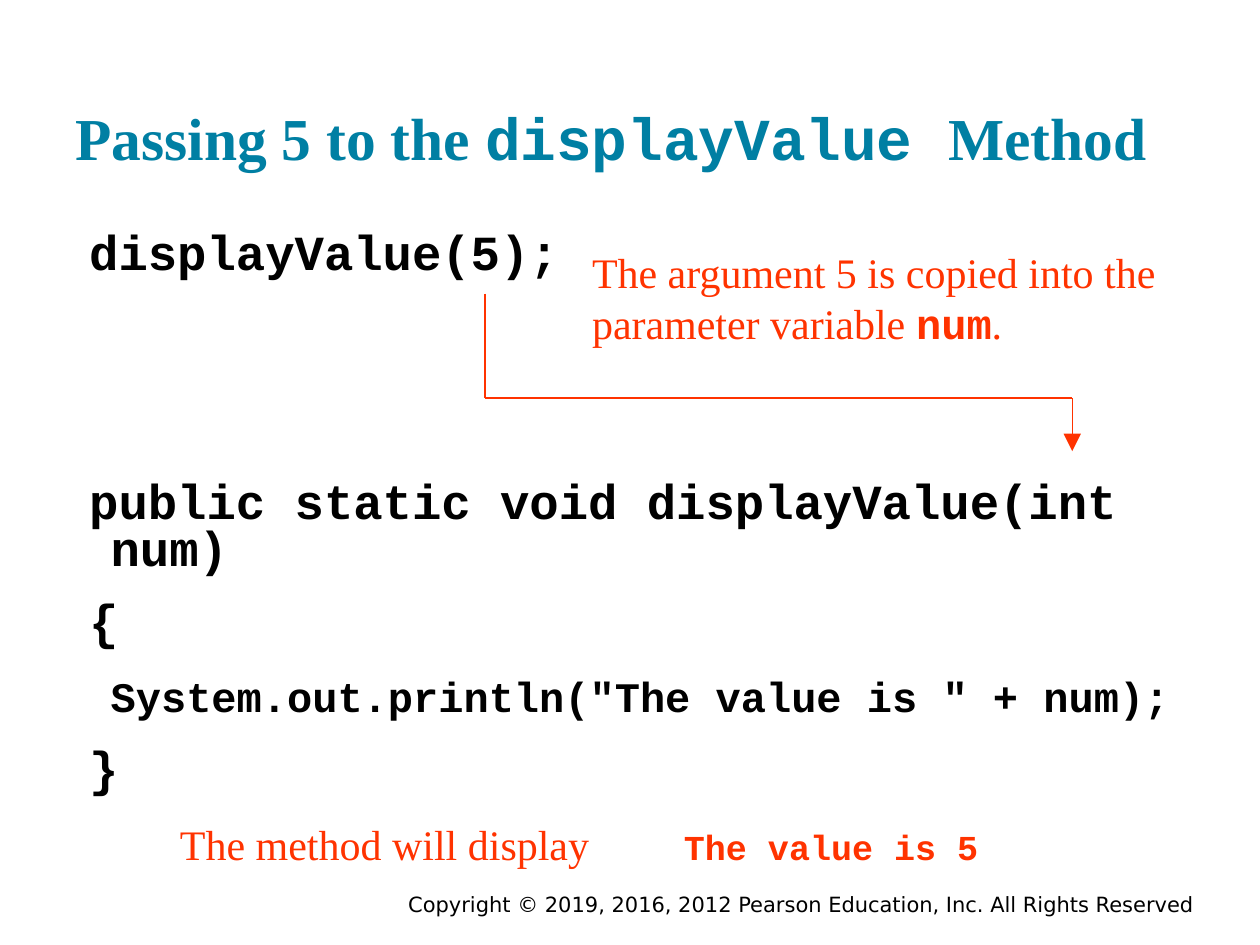
from itertools import pairwise

from lxml.etree import SubElement
from pptx import Presentation
from pptx.dml.color import RGBColor
from pptx.enum.shapes import MSO_CONNECTOR
from pptx.enum.text import MSO_ANCHOR, MSO_AUTO_SIZE, PP_ALIGN
from pptx.oxml.ns import qn
from pptx.util import Emu, Pt

SERIF, MONO, SANS = "Times New Roman", "Courier New", "DejaVu Sans"
TEAL, RED, BLACK = "007FA3", "FF3300", "000000"


def px(length):
    """Convert px, at 100 to the inch, to EMU."""
    return Emu(length * 9144)


def color(value):
    """Turn a hex string into a colour."""
    return RGBColor.from_string(value)


def add_span(para, text, size, face, ink, bold=False):
    """Add one formatted run to a paragraph."""
    span = para.add_run()
    span.text = text
    span.font.size = Pt(size)
    span.font.name = face
    span.font.bold = bold
    span.font.color.rgb = color(ink)


def set_frame(frame, side, top):
    """Give a text frame wrapping, fixed size and insets."""
    frame.word_wrap = True
    frame.auto_size = MSO_AUTO_SIZE.NONE
    frame.margin_left = frame.margin_right = px(side)
    frame.margin_top = frame.margin_bottom = px(top)


def add_text_box(page, box, top=5):
    """Add an empty text box and return its frame."""
    frame = page.shapes.add_textbox(*map(px, box)).text_frame
    set_frame(frame, 10, top)
    return frame


def set_title(page, box):
    """Place the title and write its mixed-font wording."""
    title = page.shapes.title
    title.left, title.top, title.width, title.height = map(px, box)
    frame = title.text_frame
    set_frame(frame, 10, 10)
    frame.vertical_anchor = MSO_ANCHOR.BOTTOM
    para = frame.paragraphs[0]
    para.alignment = PP_ALIGN.LEFT
    for text, face in (("Passing 5 to the ", SERIF), ("displayValue ", MONO), ("Method", SERIF)):
        add_span(para, text, 34, face, TEAL, True)


def add_code(page, box):
    """Write the call and, below a gap, the method."""
    frame = add_text_box(page, box, 10)
    lines = (
        (0, [("displayValue(5);", 28)]),
        (115, [("public static void displayValue(int num)", 28)]),
        (15, [("{", 28)]),
        (15, [("\t", 28), ('System.out.println("The value is " + num);', 24)]),
        (15, [("}", 28)]),
    )
    for number, (gap, spans) in enumerate(lines):
        para = frame.add_paragraph() if number else frame.paragraphs[0]
        para.line_spacing = 0.8
        para.space_before = Pt(gap)
        properties = para._p.get_or_add_pPr()
        properties.set("marL", str(px(28)))
        properties.set("indent", str(px(-17)))
        for text, size in spans:
            add_span(para, text, size, MONO, BLACK, True)


def add_argument_note(page, box):
    """Write the note on the copied argument."""
    para = add_text_box(page, box).paragraphs[0]
    add_span(para, "The argument 5 is copied into the parameter variable ", 24, SERIF, RED)
    add_span(para, "num", 24, MONO, RED, True)
    add_span(para, ".", 24, SERIF, RED)


def add_arrow_path(page, origin, steps):
    """Draw straight segments from an origin, with a final arrowhead."""
    left, top = origin
    points = [(px(left + across), px(top + down)) for across, down in steps]
    for start, end in pairwise(points):
        segment = page.shapes.add_connector(MSO_CONNECTOR.STRAIGHT, *start, *end)
        segment.line.color.rgb = color(RED)
        segment.line.width = Pt(0.75)
        SubElement(segment._element.spPr, qn("a:effectLst"))
    SubElement(segment.line._get_or_add_ln(), qn("a:tailEnd"), type="triangle", w="lg", len="lg")


def add_output_note(page, box):
    """Write the displayed result, aligned at a tab stop."""
    para = add_text_box(page, box).paragraphs[0]
    stops = SubElement(para._p.get_or_add_pPr(), qn("a:tabLst"))
    SubElement(stops, qn("a:tab"), pos=str(px(400)), algn="l")
    add_span(para, "The method will display\t", 24, SERIF, RED)
    add_span(para, "The value is 5", 20, MONO, RED, True)


def add_copyright(page, box):
    """Write the right-aligned copyright line."""
    para = add_text_box(page, box).paragraphs[0]
    para.alignment = PP_ALIGN.RIGHT
    text = "Copyright © 2019, 2016, 2012 Pearson Education, Inc. All Rights Reserved"
    add_span(para, text, 12, SANS, BLACK)


def main():
    """Build and save the deck."""
    deck = Presentation()
    deck.slide_width, deck.slide_height = px(1000), px(750)
    page = deck.slides.add_slide(deck.slide_layouts[5])
    add_copyright(page, (175, 703, 783, 22))
    set_title(page, (50, 27, 900, 120))
    add_code(page, (50, 175, 900, 495))
    add_argument_note(page, (460, 191, 475, 90))
    add_arrow_path(page, (385, 233), ((0, 0), (0, 83), (466, 83), (466, 125)))
    add_output_note(page, (133, 645, 733, 50))
    deck.save("out.pptx")


if __name__ == "__main__":
    main()
